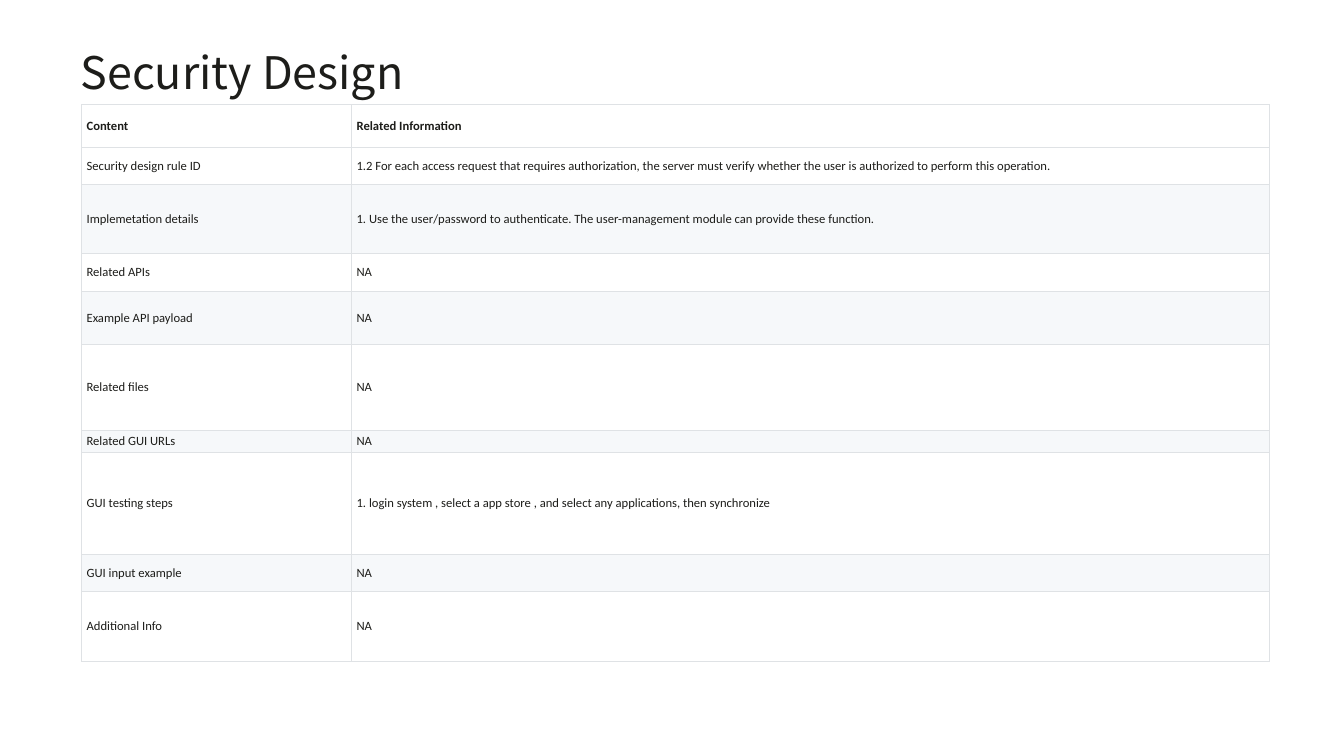
from lxml import etree
from pptx import Presentation
from pptx import util as u
from pptx.dml.color import RGBColor
from pptx.enum import text
from pptx.oxml.ns import qn

PX = 9144  # EMU in one px, 100 px to the inch
INK = RGBColor(0x1D, 0x1D, 0x1A)
WHITE = RGBColor(0xFF, 0xFF, 0xFF)
BAND = RGBColor(0xF6, 0xF8, 0xFA)
RULE = RGBColor(0xDF, 0xE2, 0xE5)

COLS = [268, 911]
ROWS = [
    (42, "Content", "Related Information"),
    (37, "Security design rule ID",
     "1.2 For each access request that requires authorization, the server must "
     "verify whether the user is authorized to perform this operation."),
    (69, "Implemetation details",
     "1. Use the user/password to authenticate. "
     "The user-management module can provide these function."),
    (37, "Related APIs", "NA"),
    (53, "Example API payload", "NA"),
    (85, "Related files", "NA"),
    (22, "Related GUI URLs", "NA"),
    (101, "GUI testing steps",
     "1. login system , select a app store , and select any applications, then synchronize"),
    (37, "GUI input example", "NA"),
    (69, "Additional Info", "NA"),
]


class Page:
    def __init__(self, deck):
        self.slide = deck.slides.add_slide(deck.slide_layouts[6])
        self.head = "Noto Sans CJK SC"
        self.body = "Calibri"

    def style(self, para, face, size, bold=False):
        for run in para.runs:
            font = run.font
            font.name, font.size, font.bold = face, u.Pt(size), bold
            font.color.rgb = INK

    def title(self, words, x, y, w, h):
        frame = self.slide.shapes.add_textbox(x * PX, y * PX, w * PX, h * PX).text_frame
        frame.word_wrap = True
        frame.margin_left = frame.margin_right = 0
        frame.margin_top = frame.margin_bottom = 0
        frame.text = words
        para = frame.paragraphs[0]
        para.line_spacing = u.Pt(34.3)
        self.style(para, self.head, 32)

    def border(self, cell):
        props = cell._tc.get_or_add_tcPr()
        for side in ("lnL", "lnR", "lnT", "lnB"):
            line = etree.SubElement(props, qn("a:" + side), w=str(u.Pt(0.75)))
            fill = etree.SubElement(line, qn("a:solidFill"))
            etree.SubElement(fill, qn("a:srgbClr"), val=str(RULE))

    def cell(self, cell, words, fill, bold):
        cell.text = words
        cell.vertical_anchor = text.MSO_ANCHOR.MIDDLE
        cell.margin_left = cell.margin_right = 5 * PX
        cell.margin_top = cell.margin_bottom = 2 * PX
        self.border(cell)
        cell.fill.solid()
        cell.fill.fore_color.rgb = fill
        self.style(cell.text_frame.paragraphs[0], self.body, 9, bold)

    def table(self, rows, cols, x, y):
        high = sum(row[0] for row in rows)
        grid = self.slide.shapes.add_table(
            len(rows), len(cols), x * PX, y * PX, sum(cols) * PX, high * PX).table
        grid.horz_banding = False
        for col, wide in zip(grid.columns, cols):
            col.width = wide * PX
        for i, (tall, *words) in enumerate(rows):
            grid.rows[i].height = tall * PX
            # Every second row below the header is shaded
            fill = BAND if i and i % 2 == 0 else WHITE
            for j, word in enumerate(words):
                self.cell(grid.cell(i, j), word, fill, i == 0)


def main():
    deck = Presentation()
    deck.slide_width, deck.slide_height = 1334 * PX, 750 * PX
    page = Page(deck)

    # Heading
    page.title("Security Design", 80, 50, 1175, 109)

    # Security table
    page.table(ROWS, COLS, 81, 104)

    deck.save("out.pptx")


if __name__ == "__main__":
    main()
